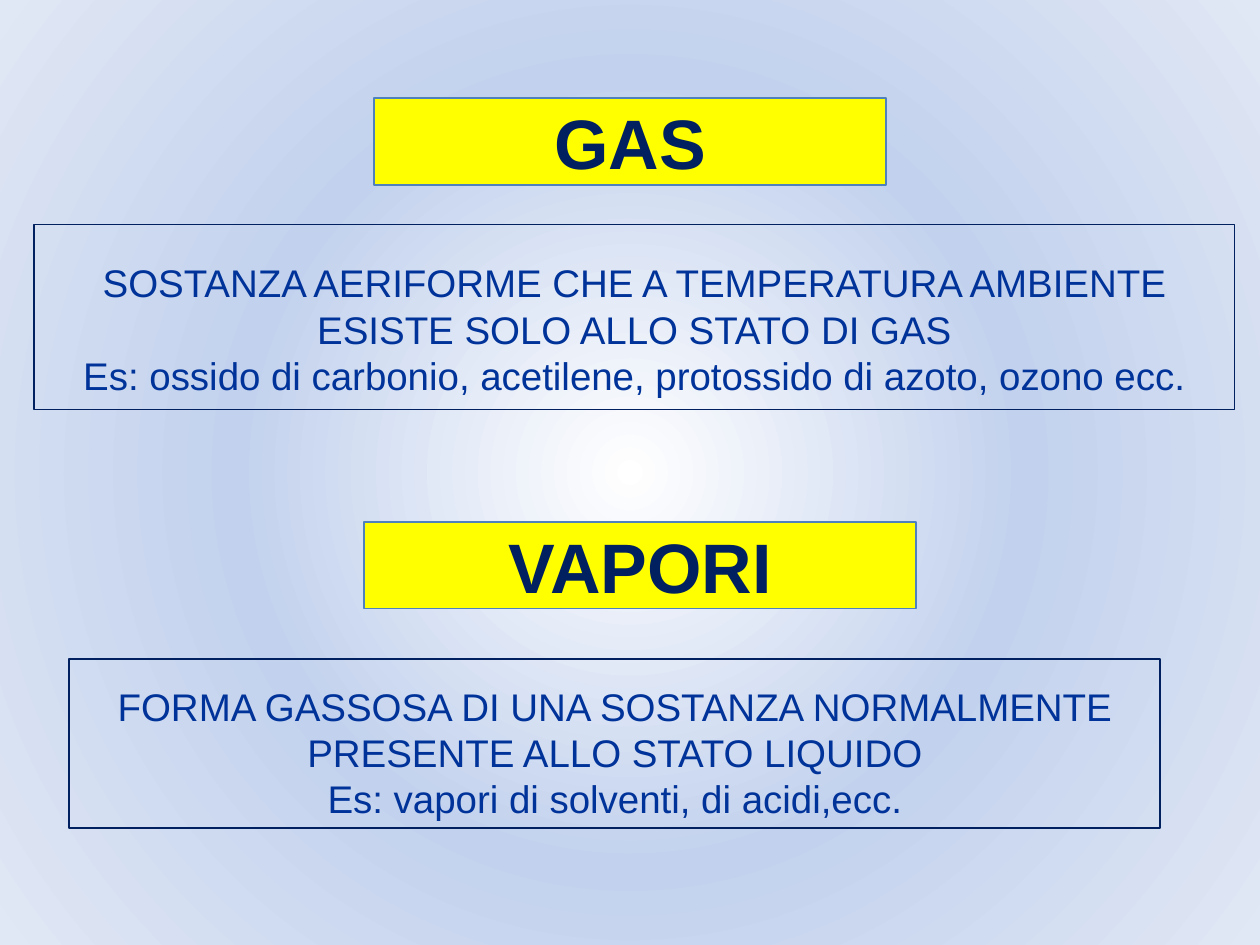
from lxml import etree
from pptx import Presentation
from pptx.dml.color import RGBColor
from pptx.enum.shapes import MSO_SHAPE
from pptx.enum.text import MSO_ANCHOR, PP_ALIGN
from pptx.oxml.ns import qn
from pptx.util import Inches, Pt

RECT = MSO_SHAPE.RECTANGLE
CENTER = PP_ALIGN.CENTER
TOP, MIDDLE = MSO_ANCHOR.TOP, MSO_ANCHOR.MIDDLE

NAVY = RGBColor(0x00, 0x20, 0x60)
BLUE = RGBColor(0x00, 0x33, 0x99)
EDGE = RGBColor(0x4F, 0x81, 0xBD)
YELLOW = RGBColor(0xFF, 0xFF, 0x00)
WHITE = RGBColor(0xFF, 0xFF, 0xFF)
MIST = RGBColor(0xC2, 0xD1, 0xED)
PALE = RGBColor(0xE1, 0xE8, 0xF5)
GLOW = [(0, WHITE), (50, MIST), (100, PALE)]


def paint_back(slide):
    """Fill the background with a circular gradient from the centre."""
    slide.background.fill.gradient()
    grad = slide.element.find(".//" + qn("a:gradFill"))
    for child in list(grad):
        grad.remove(child)
    stops = etree.SubElement(grad, qn("a:gsLst"))
    for place, color in GLOW:
        stop = etree.SubElement(stops, qn("a:gs"), pos=str(place * 1000))
        etree.SubElement(stop, qn("a:srgbClr"), val=str(color))
    ring = etree.SubElement(grad, qn("a:path"), path="circle")
    etree.SubElement(ring, qn("a:fillToRect"),
                     {side: "50000" for side in "ltrb"})


def add_box(slide, place, edge, width):
    box = slide.shapes.add_shape(RECT, *map(Inches, place))
    box.shadow.inherit = False
    box.fill.background()
    box.line.color.rgb = edge
    box.line.width = Pt(width)
    return box


def write(box, lines, size, color, bold=False):
    frame = box.text_frame
    frame.word_wrap = True
    frame.text = "\n".join(lines)
    for para in frame.paragraphs:
        para.alignment = CENTER
        font = para.font
        font.name = "Arial"
        font.size = Pt(size)
        font.bold = bold
        font.color.rgb = color


def add_head(slide, place, text):
    box = add_box(slide, place, EDGE, 1)
    box.fill.solid()
    box.fill.fore_color.rgb = YELLOW
    write(box, [text], 40, NAVY, bold=True)
    box.text_frame.vertical_anchor = MIDDLE


def add_note(slide, place, lines, width, inset):
    box = add_box(slide, place, NAVY, width)
    write(box, lines, 22, BLUE)
    box.text_frame.vertical_anchor = TOP
    box.text_frame.margin_top = Inches(inset)


def main():
    deck = Presentation()
    deck.slide_width, deck.slide_height = Inches(10), Inches(7.5)
    slide = deck.slides.add_slide(deck.slide_layouts[6])
    paint_back(slide)
    add_note(slide, (0.27, 1.78, 9.53, 1.47), [
        "SOSTANZA AERIFORME CHE A TEMPERATURA AMBIENTE "
        "ESISTE SOLO ALLO STATO DI GAS",
        "Es: ossido di carbonio, acetilene, protossido di azoto, ozono ecc.",
    ], 0.75, 0.28)
    add_note(slide, (0.55, 5.23, 8.66, 1.34), [
        "FORMA GASSOSA DI UNA SOSTANZA NORMALMENTE "
        "PRESENTE ALLO STATO LIQUIDO",
        "Es: vapori di solventi, di acidi,ecc.",
    ], 1, 0.19)
    add_head(slide, (2.97, 0.78, 4.06, 0.69), "GAS")
    add_head(slide, (2.89, 4.14, 4.38, 0.69), "VAPORI")
    deck.save("out.pptx")


if __name__ == "__main__":
    main()
